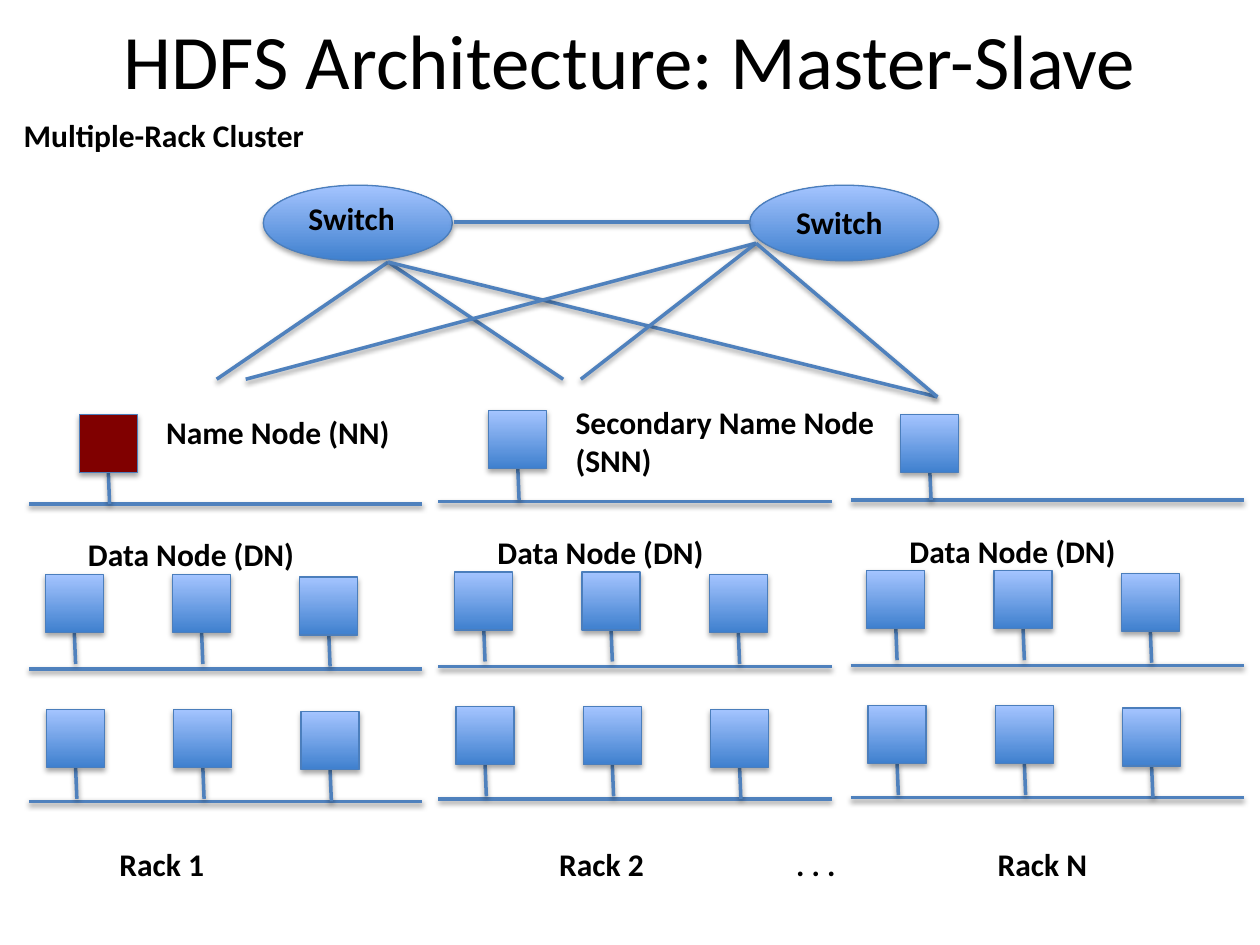
from lxml import etree
from pptx import Presentation
from pptx.dml.color import RGBColor
from pptx.enum.shapes import MSO_CONNECTOR, MSO_SHAPE
from pptx.enum.text import MSO_ANCHOR, PP_ALIGN
from pptx.oxml.ns import qn
from pptx.util import Inches, Pt

LINE = MSO_CONNECTOR.STRAIGHT
RECTANGLE, OVAL = MSO_SHAPE.RECTANGLE, MSO_SHAPE.OVAL
LEFT, CENTER = PP_ALIGN.LEFT, PP_ALIGN.CENTER
TOP, MIDDLE = MSO_ANCHOR.TOP, MSO_ANCHOR.MIDDLE

NODE_SIZE = 0.46
STEM_LENGTH = 0.25
RAIL_LENGTH = 3.12


def color(hex_value):
    return RGBColor.from_string(hex_value)


class Diagram:
    font = "Calibri"
    text_color = "000000"
    gradient = ("3F80CE", "A4C4FF")
    outline = "4B7EBC"
    wire = "4F81BD"
    name_node = "800000"

    def __init__(self, slide):
        self.slide = slide

    def shadow(self, element, distance, opacity):
        properties = element._element.spPr
        effects = properties.find(qn("a:effectLst"))
        if effects is None:
            effects = etree.SubElement(properties, qn("a:effectLst"))
        outer = etree.SubElement(
            effects, qn("a:outerShdw"), blurRad=str(Pt(3.1)),
            dist=str(Pt(distance)), dir="5400000", rotWithShape="0")
        black = etree.SubElement(outer, qn("a:srgbClr"), val="000000")
        etree.SubElement(black, qn("a:alpha"), val=str(opacity * 1000))

    def text(self, left, top, width, height, words, size=18, bold=True,
             align=LEFT, anchor=TOP):
        box = self.slide.shapes.add_textbox(
            Inches(left), Inches(top), Inches(width), Inches(height))
        frame = box.text_frame
        frame.word_wrap = True
        frame.vertical_anchor = anchor
        frame.text = words
        paragraph = frame.paragraphs[0]
        paragraph.alignment = align
        font = paragraph.runs[0].font
        font.name, font.size, font.bold = self.font, Pt(size), bold
        font.color.rgb = color(self.text_color)

    def shape(self, kind, left, top, width, height, fill=None):
        shape = self.slide.shapes.add_shape(
            kind, Inches(left), Inches(top), Inches(width), Inches(height))
        if fill:
            shape.fill.solid()
            shape.fill.fore_color.rgb = color(fill)
        else:
            shape.fill.gradient()
            shape.fill.gradient_angle = 90
            for stop, shade in zip(shape.fill.gradient_stops, self.gradient):
                stop.color.rgb = color(shade)
        shape.line.color.rgb = color(self.outline)
        shape.line.width = Pt(0.75)
        shape.shadow.inherit = False
        self.shadow(shape, 1.8, 35)

    def line(self, start, end):
        connector = self.slide.shapes.add_connector(
            LINE, *(Inches(value) for value in (*start, *end)))
        connector.line.color.rgb = color(self.wire)
        connector.line.width = Pt(2)
        self.shadow(connector, 1.6, 38)

    def node(self, left, top, rail, fill=None):
        center = left + NODE_SIZE / 2
        bottom = top + NODE_SIZE
        self.line((center, bottom),
                  (center + 0.01, min(bottom + STEM_LENGTH, rail)))
        self.shape(RECTANGLE, left, top, NODE_SIZE, NODE_SIZE, fill)

    def rail(self, left, top):
        self.line((left, top), (left + RAIL_LENGTH, top))

    def rack(self, x, y, head_top, head_fill=None):
        # Head node on the upper rail
        self.rail(x + 0.23, y + 4)
        self.node(x + 0.63, head_top, y + 4, head_fill)
        # Two rows of three data nodes
        for left, top, rail in ((0.36, 4.56, 5.31), (0.37, 5.63, 6.36)):
            self.rail(x + 0.23, y + rail)
            for column, drop in enumerate((0, 0, 0.02)):
                self.node(x + left + column * 1.01, y + top + drop, y + rail)
        self.text(x + 0.6, y + 4.2, 2.1, 0.28, "Data Node (DN)")


def main():
    presentation = Presentation()
    presentation.slide_width = Inches(10)
    presentation.slide_height = Inches(7.5)
    slide = presentation.slides.add_slide(presentation.slide_layouts[6])
    diagram = Diagram(slide)

    # Headings
    diagram.text(0.5, -0.16, 9, 1.25, "HDFS Architecture: Master-Slave",
                 size=44, bold=False, align=CENTER, anchor=MIDDLE)
    diagram.text(0.09, 0.87, 2.53, 0.4, "Multiple-Rack Cluster")

    # Switches and their links
    for left in (2.09, 5.95):
        diagram.shape(OVAL, left, 1.47, 1.5, 0.6)
    diagram.line((3.6, 1.76), (5.95, 1.76))
    links = {
        (3.08, 2.08): ((1.72, 3.01), (4.47, 3.01), (7.44, 3.15)),
        (6, 1.93): ((1.95, 3.01), (4.61, 3.01), (7.44, 3.15)),
    }
    for switch, racks in links.items():
        for rack in racks:
            diagram.line(switch, rack)
    diagram.text(2.35, 1.53, 0.97, 0.4, "Switch")
    diagram.text(6.22, 1.56, 1.06, 0.4, "Switch")

    # Racks
    diagram.rack(0, 0, 3.29, diagram.name_node)
    diagram.rack(3.25, -0.02, 3.26)
    diagram.rack(6.52, -0.03, 3.29)
    diagram.text(1.22, 3.23, 2.1, 0.28, "Name Node (NN)")
    diagram.text(4.47, 3.15, 3.2, 0.71, "Secondary Name Node (SNN)")

    # Rack labels
    for left, label in ((0.85, "Rack 1"), (4.34, "Rack 2"),
                        (6.22, ". . ."), (7.82, "Rack N")):
        diagram.text(left, 6.66, 1.06, 0.4, label)

    presentation.save("out.pptx")


if __name__ == "__main__":
    main()
